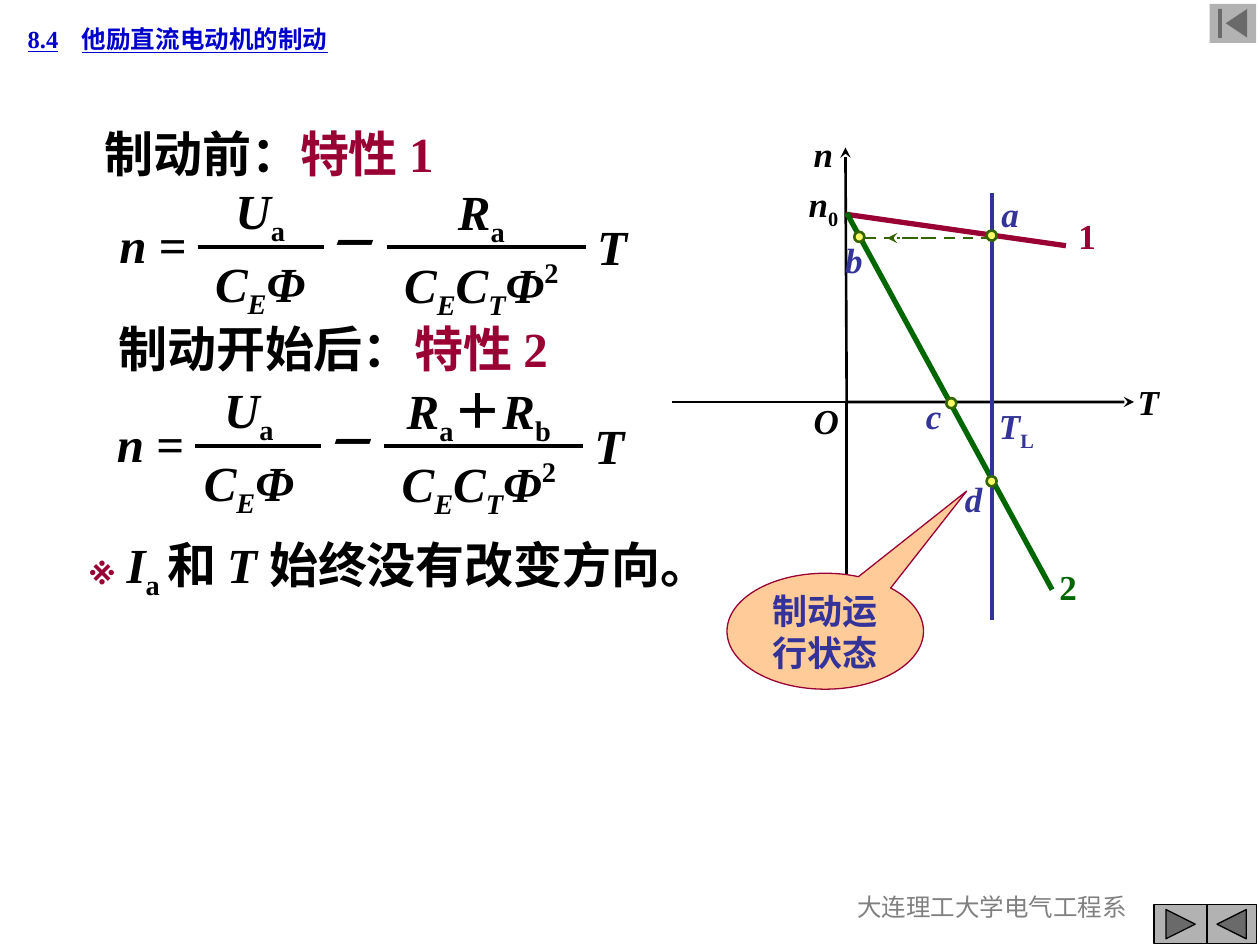
from lxml import etree
from pptx import Presentation
from pptx import util as u
from pptx.dml.color import RGBColor
from pptx.enum import dml, shapes, text
from pptx.oxml.ns import qn

INK = {"black": "000000", "red": "990033", "green": "006600", "olive": "336600",
       "blue": "333399", "link": "0000CC", "gray": "808080", "steel": "B2B2B2",
       "peach": "FFCC99", "lemon": "FFFF66"}
FONT = "Times New Roman"
COLS, ROWS = 100, 75
WIDE, HIGH = u.Inches(10), u.Inches(7.5)
BASE = {"_": "-25000", "^": "40000"}
FORM = shapes.MSO_SHAPE


def spot(x, y):
    """Turn grid columns and rows into slide lengths."""
    return round(x * WIDE / COLS), round(y * HIGH / ROWS)


def tint(name):
    """Look up a colour by name."""
    return RGBColor.from_string(INK[name])


def write(par, runs, size, ink, bold=True):
    """Add runs of (words, style), where i is italic, _ low and ^ high."""
    for words, style in runs:
        run = par.add_run()
        run.text = words
        font = run.font
        font.name, font.size, font.bold = FONT, u.Pt(size), bold
        font.italic = "i" in style
        font.color.rgb = tint(ink)
        for mark in BASE:
            if mark in style:
                run._r.get_or_add_rPr().set("baseline", BASE[mark])


def label(s, x, y, w, h, runs, size=20, ink="black", bold=True):
    """Place a text box and return its frame."""
    frame = s.shapes.add_textbox(*spot(x, y), *spot(w, h)).text_frame
    frame.word_wrap = True
    write(frame.paragraphs[0], runs, size, ink, bold)
    return frame


def stroke(shape, ink, width, dash=False, ends=()):
    """Style a line with its dash and its arrowheads."""
    line = shape.line
    line.color.rgb, line.width = tint(ink), u.Pt(width)
    if dash:
        line.dash_style = dml.MSO_LINE.DASH
    for end in ends:
        etree.SubElement(line._get_or_add_ln(), qn(f"a:{end}End"), type="stealth")


def link(s, start, stop, ink, width, **kind):
    """Draw a straight line between two grid points."""
    line = s.shapes.add_connector(
        shapes.MSO_CONNECTOR.STRAIGHT, *spot(*start), *spot(*stop))
    stroke(line, ink, width, **kind)
    etree.SubElement(line._element.spPr, qn("a:effectLst"))


def solid(s, form, x, y, w, h, fill, ink=None, width=0.75):
    """Draw a filled preset shape."""
    shape = s.shapes.add_shape(form, *spot(x, y), *spot(w, h))
    shape.shadow.inherit = False
    shape.fill.solid()
    shape.fill.fore_color.rgb = tint(fill)
    if ink:
        stroke(shape, ink, width)
    else:
        shape.line.fill.background()
    return shape


def header(s, x, y, w, h):
    """Fill the section title and set its tab stop."""
    title = s.shapes.title
    (title.left, title.top), (title.width, title.height) = spot(x, y), spot(w, h)
    frame = title.text_frame
    frame.auto_size = text.MSO_AUTO_SIZE.NONE
    frame.vertical_anchor = text.MSO_ANCHOR.MIDDLE
    par = frame.paragraphs[0]
    par.alignment = text.PP_ALIGN.LEFT
    tabs = etree.SubElement(par._p.get_or_add_pPr(), qn("a:tabLst"))
    etree.SubElement(tabs, qn("a:tab"), pos=str(u.Inches(0.43)), algn="l")
    write(par, [("8.4\t他励直流电动机的制动", "")], 14, "link")
    for run in par.runs:
        run.font.underline = True


def ratio(s, x, y, w, top, low):
    """Stack a numerator over a denominator."""
    frame = label(s, x, y, w, 12.1, top, 28)
    par = frame.add_paragraph()
    par.space_before = u.Pt(3.5)
    write(par, low, 28, "black")
    for par in frame.paragraphs:
        par.alignment = text.PP_ALIGN.CENTER


def formula(s, x, y, lead, top):
    """Set out one speed equation, its first ratio at column lead."""
    flux = [("C", "i"), ("E", "i_")]
    label(s, x, y + 2.7, 8.3, 5.7, [("n ", "i"), ("=", "")], 28)
    ratio(s, x + lead, y, 11.1, [("U", "i"), ("a", "_")], flux + [("Φ", "i")])
    label(s, x + 16.3, y + 2.6, 5.9, 5.7, [("－", "i")], 28)
    ratio(s, x + 21.8, y + 0.1, 15.8, top,
          flux + [("C", "i"), ("T", "i_"), ("Φ", "i"), ("2", "^")])
    label(s, x + 37.9, y + 2.9, 4.4, 5.7, [("T", "i")], 28)
    for left, span in ((7.2, 10), (22.2, 15.8)):
        link(s, (x + left, y + 5.8), (x + left + span, y + 5.8), "black", 2.25)


def theory(s, x, y):
    """Write the headings, both equations and the closing remark."""
    part = [("R", "i"), ("a", "_")]
    frame = label(s, x + 1.1, y, 31.1, 5.7, [("制动前：", "")], 28)
    write(frame.paragraphs[0], [("特性 1", "")], 28, "red")
    formula(s, x + 2.3, y + 4.5, 6.6, part)
    label(s, x + 2.2, y + 15.5, 27.2, 5.7, [("制动开始后：", "")], 28)
    label(s, x + 25.7, y + 15.5, 14.2, 5.7, [("特性 2", "")], 28, "red")
    formula(s, x + 2.1, y + 20.3, 5.9, part + [("＋", ""), ("R", "i"), ("b", "_")])
    frame = label(s, x, y + 32.6, 57.7, 6.3, [("※", "")], 24, "red")
    write(frame.paragraphs[0],
          [(" ", ""), ("I", "i"), ("a ", "_"), ("和 ", ""), ("T ", "i"),
           ("始终没有改变方向。", "")], 28, "black")


def graph(s, x, y):
    """Draw the speed and torque chart with its curves and points."""
    def put(point):
        return x + point[0], y + point[1]

    for points, ends in (([(36.7, 21.9), (13.9, 21.9), (13.8, 1.7)], ("head", "tail")),
                         ([(0, 21.9), (13.9, 21.9), (13.9, 40.2)], ())):
        first, *rest = [spot(*put(p)) for p in points]
        pen = s.shapes.build_freeform(*first)
        pen.add_line_segments(rest, close=False)
        axis = pen.convert_to_shape()
        axis.shadow.inherit = False
        axis.fill.background()
        stroke(axis, "black", 1.5, ends=ends)

    for start, stop, ink, width, kind in (
            ((25.4, 8.9), (17.1, 8.9), "olive", 1.5, {"dash": True, "ends": ["tail"]}),
            ((20.6, 8.9), (14.7, 8.9), "olive", 1.5, {"dash": True}),
            ((13.8, 7), (31.3, 9.5), "red", 3, {}),
            ((13.9, 6.9), (30.2, 36.8), "green", 3, {}),
            ((25.4, 5.3), (25.4, 39.2), "blue", 2.25, {})):
        link(s, put(start), put(stop), ink, width, **kind)

    for left, top, ink, runs in (
            (10.3, 21.2, "black", [("O", "i")]),
            (36, 19.7, "black", [("T", "i")]),
            (10.3, 0, "black", [("n", "i")]),
            (9.9, 4, "black", [("n", "i"), ("0", "_")]),
            (31.3, 6.5, "red", [("1", "")]),
            (29.8, 34.4, "green", [("2", "")]),
            (25, 21.6, "blue", [("T", "i"), ("L", "_")]),
            (25.2, 4.8, "blue", [("a", "i")]),
            (12.8, 8.4, "blue", [("b", "i")]),
            (19.2, 20.8, "blue", [("c", "i")]),
            (22.3, 27.4, "blue", [("d", "i")])):
        label(s, *put((left, top)), 5 if len(runs) > 1 else 4, 4.4, runs, ink=ink)

    note(s, *put((4.4, 35.5)), 15.6, 9.2)
    for left, top in ((25.4, 8.7), (14.9, 8.8), (22.2, 22), (25.4, 28.2)):
        solid(s, FORM.OVAL, *put((left - 0.4, top - 0.4)), 0.8, 0.8,
              "lemon", "olive", 1.5)


def note(s, x, y, w, h):
    """Add the callout that names the braking state."""
    bubble = solid(s, FORM.OVAL_CALLOUT, x, y, w, h, "peach", "red")
    bubble.adjustments[0], bubble.adjustments[1] = 0.72, -1.21
    frame = bubble.text_frame
    frame.vertical_anchor = text.MSO_ANCHOR.MIDDLE
    frame.add_paragraph()
    for par, words in zip(frame.paragraphs, ("制动运", "行状态")):
        par.alignment = text.PP_ALIGN.CENTER
        write(par, [(words, "")], 20, "blue")


def footer(s, x, y):
    """Add the department name and the page buttons."""
    frame = label(s, x, y, 31.7, 4.7, [("大连理工大学电气工程系", "")], 14, "gray", False)
    frame.paragraphs[0].alignment = text.PP_ALIGN.CENTER
    for form, left, wide in ((FORM.ACTION_BUTTON_FORWARD_OR_NEXT, 28.7, 4.2),
                             (FORM.ACTION_BUTTON_BACK_OR_PREVIOUS, 32.9, 3.9)):
        solid(s, form, x + left, y + 1.5, wide, 3.1, "steel", "black")


def main():
    """Build the slide and save it."""
    deck = Presentation()
    deck.slide_width, deck.slide_height = WIDE, HIGH
    s = deck.slides.add_slide(deck.slide_layouts[5])
    header(s, 1.2, 1.4, 31.9, 3.4)
    theory(s, 6.2, 9.3)
    graph(s, 53.3, 10)
    footer(s, 62.9, 70.3)
    solid(s, FORM.ACTION_BUTTON_BEGINNING, 96, 0.3, 3.7, 3.1, "steel")
    deck.save("out.pptx")


if __name__ == "__main__":
    main()
